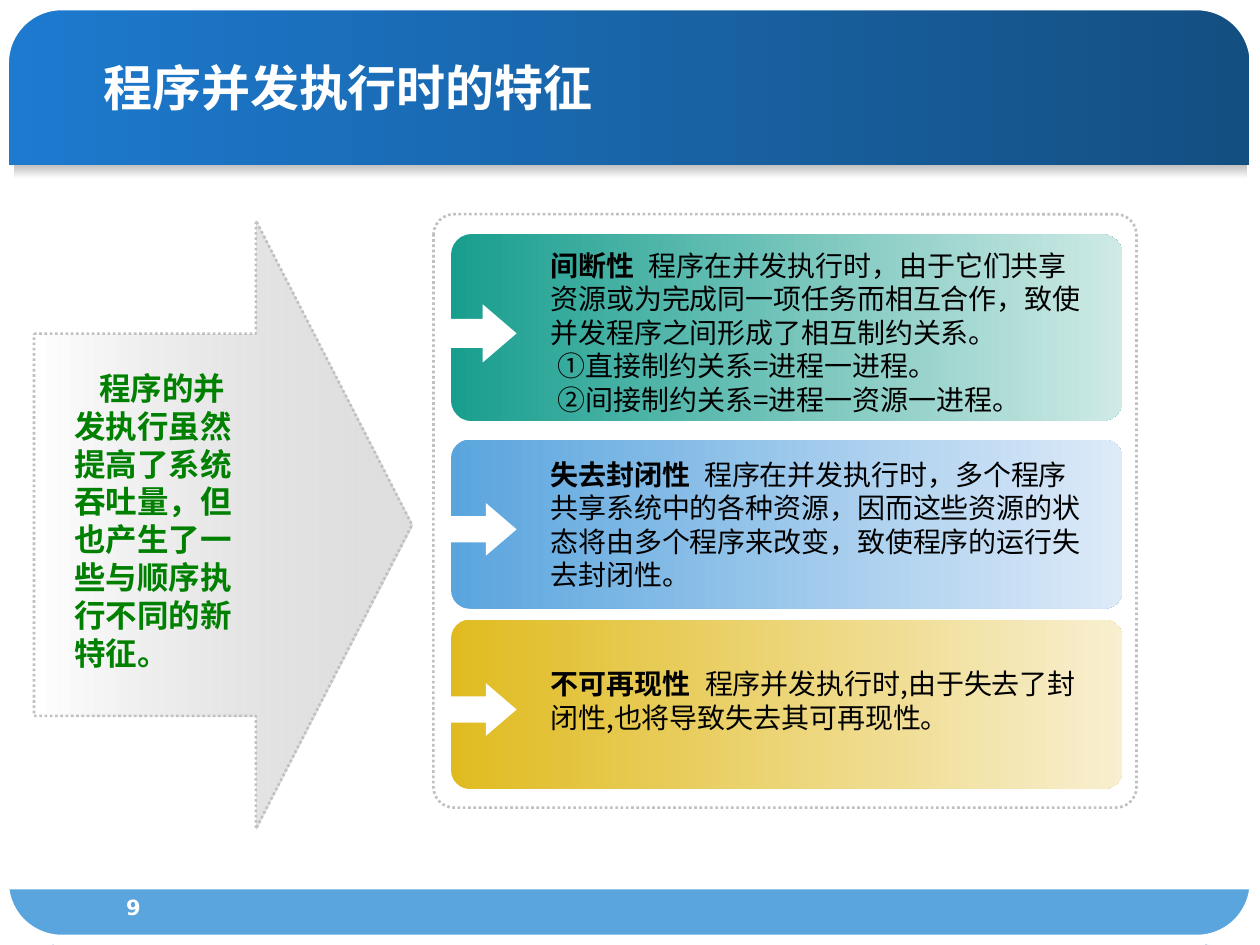
from dataclasses import dataclass
from typing import NamedTuple, Optional

from lxml.etree import SubElement
from pptx import Presentation
from pptx.dml.color import RGBColor
from pptx.enum.dml import MSO_LINE_DASH_STYLE as Dash
from pptx.enum.shapes import MSO_AUTO_SHAPE_TYPE as Preset
from pptx.enum.text import MSO_ANCHOR as Anchor, MSO_AUTO_SIZE as AutoSize, PP_ALIGN as Align
from pptx.oxml.ns import qn
from pptx.util import Inches, Pt

COLUMNS, ROWS = 100, 75  # square grid cells of a tenth of an inch


def cells(count: float) -> int:
    return Inches(count / 10)


@dataclass(frozen=True)
class Theme:
    white: str = "FFFFFF"
    black: str = "000000"
    silver: str = "C0C0C0"
    green: str = "008000"
    footer: str = "5AA5DE"
    banner: tuple = ("1D7ACF", "144F82")
    latin: str = "Arial"
    chinese: str = "Noto Sans CJK SC"
    number_font: str = "DejaVu Sans"
    title_size: int = 28
    lead_size: int = 18
    body_size: int = 16
    number_size: int = 12


class Area(NamedTuple):
    column: float
    row: float
    columns: float
    rows: float

    def lengths(self) -> list:
        return [cells(value) for value in self]


@dataclass(frozen=True)
class Card:
    area: Area
    text_area: Area
    colours: tuple
    heading: str
    body: str
    points: tuple = ()
    gap_size: int = 16


THEME = Theme()

CARDS = [
    Card(Area(35.8, 18.6, 53.3, 14.8), Area(42.7, 19.2, 45.1, 14.4), ("189E8E", "CFEAE6"),
         "间断性",
         "程序在并发执行时，由于它们共享资源或为完成同一项任务而相互合作，致使并发程序之间形成了相互制约关系。",
         ("①直接制约关系=进程一进程。", "②间接制约关系=进程一资源一进程。")),
    Card(Area(35.8, 34.9, 53.3, 13.4), Area(42.7, 35.8, 44.1, 12), ("5AA5DE", "DDEAF8"),
         "失去封闭性",
         "程序在并发执行时，多个程序共享系统中的各种资源，因而这些资源的状态将由多个程序来改变，致使程序的运行失去封闭性。"),
    Card(Area(35.8, 49.2, 53.3, 13.4), Area(42.7, 52.1, 44.1, 6.7), ("E0BB20", "F8EFD0"),
         "不可再现性", "程序并发执行时,由于失去了封闭性,也将导致失去其可再现性。", gap_size=18),
]

CORNERS = [
    [(0, 4.9), (1.3, 2.5), (2.7, 0.6), (4.8, 0), (0, 0)],
    [(4.2, 75), (2, 73.3), (0.4, 71.7), (0, 69.2), (0, 75)],
    [(100, 69.9), (98.8, 72.4), (97.5, 74.3), (95.7, 75), (100, 75)],
    [(95, 0), (97.5, 1.4), (99.4, 2.9), (100, 5), (100, 0)],
]


def paint(shape, colours: tuple, angle: int = 0, end_alpha: Optional[int] = None) -> None:
    """Fill with no colour, one colour or a two-colour gradient."""
    fill = shape.fill
    if not colours:
        fill.background()
    elif len(colours) == 1:
        fill.solid()
        fill.fore_color.rgb = RGBColor.from_string(colours[0])
    else:
        fill.gradient()
        fill.gradient_angle = angle
        for stop, colour in zip(fill.gradient_stops, colours):
            stop.color.rgb = RGBColor.from_string(colour)
        if end_alpha is not None:
            last = list(shape._element.iter(qn("a:srgbClr")))[-1]
            SubElement(last, qn("a:alpha")).set("val", str(end_alpha * 1000))


def outline(shape, colour: Optional[str], width: float = 1.5, dash=None) -> None:
    if colour is None:
        shape.line.fill.background()
        return
    shape.line.color.rgb = RGBColor.from_string(colour)
    shape.line.width = Pt(width)
    if dash:
        shape.line.dash_style = dash


def add_shape(page, preset, area: Area, colours: tuple = (), adjust: tuple = (),
              angle: int = 0, end_alpha: Optional[int] = None,
              line: Optional[str] = None, width: float = 1.5, dash=None):
    shape = page.shapes.add_shape(preset, *area.lengths())
    shape.shadow.inherit = False
    for index, value in enumerate(adjust):
        shape.adjustments[index] = value
    paint(shape, colours, angle, end_alpha)
    outline(shape, line, width, dash)
    return shape


def add_corner(page, points: list) -> None:
    start, *others = [(cells(x), cells(y)) for x, y in points]
    builder = page.shapes.build_freeform(*start)
    builder.add_line_segments(others, close=True)
    shape = builder.convert_to_shape()
    shape.shadow.inherit = False
    paint(shape, (THEME.white,))
    outline(shape, None)


def add_span(para, text: str, size: float = THEME.body_size, colour: str = THEME.black,
             bold: bool = False, font: str = THEME.latin, spacing: float = 0) -> None:
    span = para.add_run()
    span.text = text
    span.font.size, span.font.bold, span.font.name = Pt(size), bold, font
    span.font.color.rgb = RGBColor.from_string(colour)
    properties = span._r.get_or_add_rPr()
    SubElement(properties, qn("a:ea")).set("typeface", THEME.chinese)
    if spacing:
        properties.set("spc", str(round(spacing * 100)))


def indent(para, margin: float, first: float = 0) -> None:
    properties = para._p.get_or_add_pPr()
    properties.set("marL", str(cells(margin)))
    properties.set("indent", str(cells(first)))


def add_text_box(page, area: Area, grow: bool = True):
    frame = page.shapes.add_textbox(*area.lengths()).text_frame
    frame.word_wrap = True
    frame.auto_size = AutoSize.SHAPE_TO_FIT_TEXT if grow else AutoSize.NONE
    return frame


def add_card(page, card: Card) -> None:
    area = card.area
    add_shape(page, Preset.ROUNDED_RECTANGLE, area, card.colours, (0.109,))
    arrow = Area(area.column - 0.6, area.row + area.rows * 0.375, 5.8, area.rows * 0.312)
    add_shape(page, Preset.RIGHT_ARROW, arrow, (THEME.white,), (0.5, 0.583))
    frame = add_text_box(page, card.text_area)
    para = frame.paragraphs[0]
    add_span(para, card.heading, bold=True)
    add_span(para, " ", size=card.gap_size, spacing=4.5)
    add_span(para, card.body, font=THEME.chinese)
    for point in card.points:
        para = frame.add_paragraph()
        indent(para, 0.6)
        add_span(para, point, font=THEME.chinese)


def add_background(page) -> None:
    square, rounded = Preset.RECTANGLE, Preset.ROUNDED_RECTANGLE
    add_shape(page, square, Area(0, 0.1, 99.1, 13), THEME.banner)
    add_shape(page, square, Area(0, 70.6, 99.8, 4.4), (THEME.footer,))
    add_shape(page, square, Area(1.1, 13.1, 97.9, 1.1), (THEME.silver, THEME.white), angle=270)
    add_shape(page, rounded, Area(0.3, 0.4, 99.3, 74.2), adjust=(0.062,), line=THEME.white, width=6)
    for points in CORNERS:
        add_corner(page, points)


def add_title(page, text: str) -> None:
    title = page.shapes.title
    title.left, title.top, title.width, title.height = Area(3.3, 3.8, 90.8, 6.2).lengths()
    page.shapes._spTree.append(title._element)  # bring in front of the banner
    title.text_frame.vertical_anchor = Anchor.MIDDLE
    para = title.text_frame.paragraphs[0]
    para.alignment = Align.LEFT
    indent(para, 3.9)
    add_span(para, text, THEME.title_size, THEME.white, bold=True)


def main() -> None:
    deck = Presentation()
    deck.slide_width, deck.slide_height = cells(COLUMNS), cells(ROWS)
    page = deck.slides.add_slide(deck.slide_layouts[5])

    # Frame, page number and title
    add_background(page)
    number = add_text_box(page, Area(5.6, 70.5, 10, 3.5), grow=False).paragraphs[0]
    number.alignment = Align.CENTER
    add_span(number, "9", THEME.number_size, THEME.white, bold=True, font=THEME.number_font)
    add_title(page, "程序并发执行时的特征")

    # Lead arrow with its statement
    add_shape(page, Preset.RIGHT_ARROW, Area(2.7, 17.5, 30, 48.3), (THEME.white, THEME.silver),
              (0.628, 0.413), end_alpha=50, line=THEME.silver, dash=Dash.ROUND_DOT)
    lead = add_text_box(page, Area(3.6, 28.8, 17.3, 25)).paragraphs[0]
    indent(lead, 1.3, 2)
    add_span(lead, "程序的并发执行虽然提高了系统吞吐量，但也产生了一些与顺序执行不同的新特征。",
             THEME.lead_size, THEME.green, bold=True)

    # Panel with the three features
    add_shape(page, Preset.ROUNDED_RECTANGLE, Area(34.4, 17, 55.8, 47.1), adjust=(0.035,),
              line=THEME.silver, dash=Dash.ROUND_DOT)
    for card in CARDS:
        add_card(page, card)

    deck.save("out.pptx")


if __name__ == "__main__":
    main()
